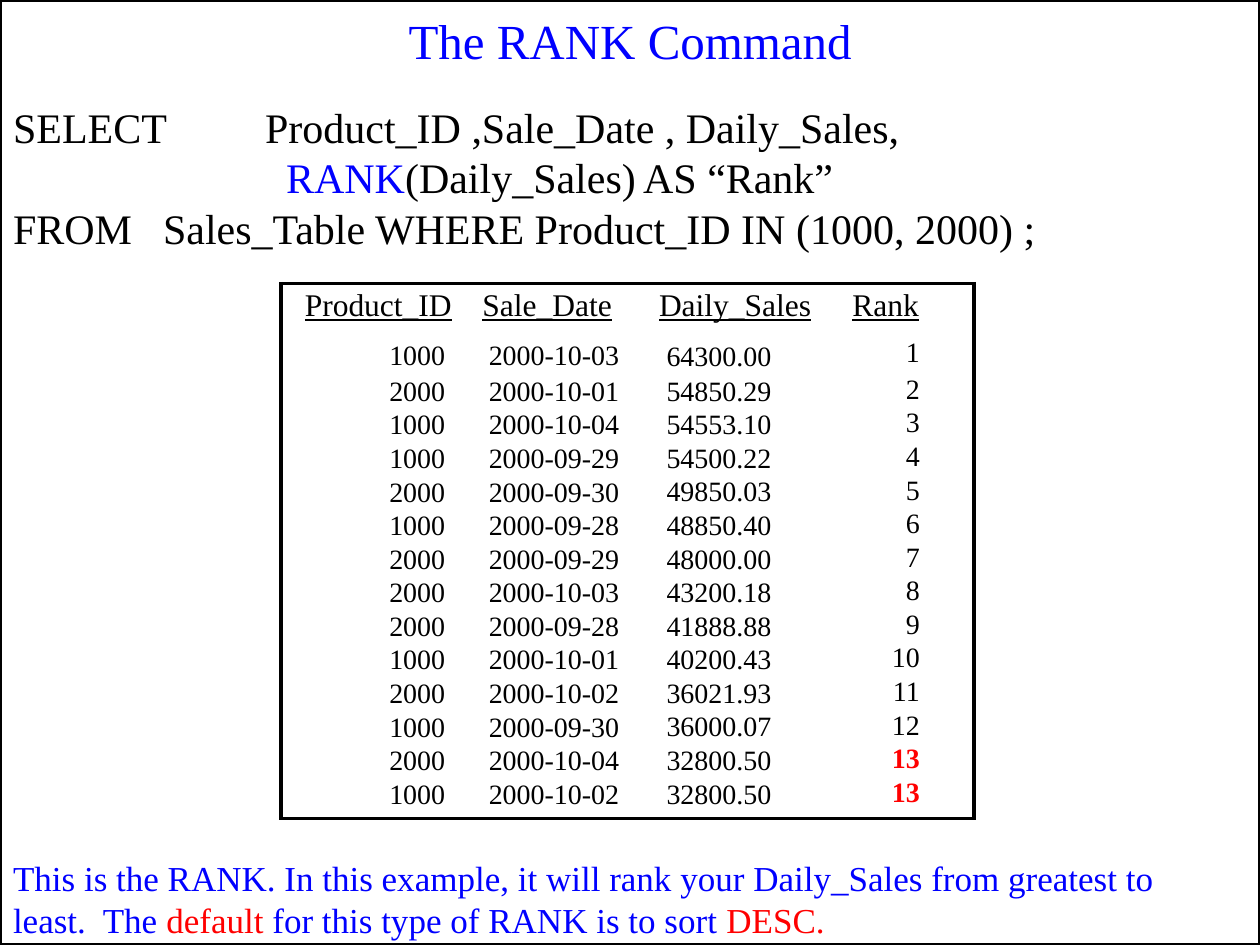
import pptx
import pptx.util
import pptx.dml.color
import pptx.enum.shapes
import pptx.enum.text
import pptx.oxml.ns
import lxml.etree
from dataclasses import dataclass

Pt = pptx.util.Pt
Align = pptx.enum.text.PP_ALIGN


@dataclass
class Theme:
    font: str = "Times New Roman"
    black: str = "000000"
    blue: str = "0000FF"
    red: str = "FF0000"
    title: int = 28
    query: int = 24
    note: int = 20
    header: int = 18
    body: int = 16


theme = Theme()


def style_span(span, size, color, bold=False, underline=False):
    span.font.name = theme.font
    span.font.size = Pt(size)
    span.font.bold = bold
    span.font.underline = underline
    span.font.color.rgb = pptx.dml.color.RGBColor.from_string(color)


def fill_frame(frame, lines, size):
    frame.margin_left = Pt(1)
    frame.margin_right = frame.margin_bottom = 0
    frame.margin_top = Pt(2.5)
    frame.word_wrap = True
    frame.auto_size = pptx.enum.text.MSO_AUTO_SIZE.NONE
    frame.vertical_anchor = pptx.enum.text.MSO_ANCHOR.TOP
    for index, pieces in enumerate(lines):
        para = frame.add_paragraph() if index else frame.paragraphs[0]
        para.alignment = Align.LEFT
        para.line_spacing = Pt(size * 1.2)
        for text, color in pieces:
            span = para.add_run()
            span.text = text
            style_span(span, size, color)


deck = pptx.Presentation()
deck.slide_width, deck.slide_height = Pt(720), Pt(540)
page = deck.slides.add_slide(deck.slide_layouts[5])

border = page.shapes.add_shape(pptx.enum.shapes.MSO_SHAPE.RECTANGLE, 0, 0, Pt(720), Pt(540))
border.shadow.inherit = False
border.fill.background()
border.line.width = Pt(2)
border.line.color.rgb = pptx.dml.color.RGBColor.from_string(theme.black)

title = page.shapes.title
title.left, title.top, title.width, title.height = Pt(232.5), Pt(3.6), Pt(255), Pt(35.3)
fill_frame(title.text_frame, [[("The RANK Command", theme.blue)]], theme.title)

columns_line = [("Product_ID ,Sale_Date , Daily_Sales,", theme.black)]
rank_line = [("RANK", theme.blue), ("(Daily_Sales)\tAS “Rank”", theme.black)]
source_line = [("Sales_Table WHERE Product_ID IN (1000, 2000) ;", theme.black)]
note_line = [
    ("This is the RANK. In this example, it will rank your Daily_Sales from greatest to least.  The ", theme.blue),
    ("default", theme.red),
    (" for this type of RANK is to sort ", theme.blue),
    ("DESC.", theme.red),
]
texts = [
    (6.5, 55.4, 92, 31, theme.query, [[("SELECT", theme.black)]]),
    (150.5, 55.4, 370, 60, theme.query, [columns_line, rank_line]),
    (6.5, 113, 72, 31, theme.query, [[("FROM", theme.black)]]),
    (92.2, 113, 505, 31, theme.query, [source_line]),
    (6.5, 486.7, 684, 50.4, theme.note, [note_line]),
]
for left, top, width, height, size, lines in texts:
    box = page.shapes.add_textbox(Pt(left), Pt(top), Pt(width), Pt(height))
    fill_frame(box.text_frame, lines, size)
    if len(lines) > 1:
        properties = box.text_frame.paragraphs[1]._p.get_or_add_pPr()
        properties.set("marL", "0")
        properties.set("indent", str(Pt(12)))
        tabs = lxml.etree.SubElement(properties, pptx.oxml.ns.qn("a:tabLst"))
        lxml.etree.SubElement(tabs, pptx.oxml.ns.qn("a:tab"), pos=str(Pt(222)), algn="l")

rows = [
    ("Product_ID", "Sale_Date", "Daily_Sales", "Rank"),
    ("1000", "2000-10-03", "64300.00", "1"),
    ("2000", "2000-10-01", "54850.29", "2"),
    ("1000", "2000-10-04", "54553.10", "3"),
    ("1000", "2000-09-29", "54500.22", "4"),
    ("2000", "2000-09-30", "49850.03", "5"),
    ("1000", "2000-09-28", "48850.40", "6"),
    ("2000", "2000-09-29", "48000.00", "7"),
    ("2000", "2000-10-03", "43200.18", "8"),
    ("2000", "2000-09-28", "41888.88", "9"),
    ("1000", "2000-10-01", "40200.43", "10"),
    ("2000", "2000-10-02", "36021.93", "11"),
    ("1000", "2000-09-30", "36000.07", "12"),
    ("2000", "2000-10-04", "32800.50", "13"),
    ("1000", "2000-10-02", "32800.50", "13"),
]
widths = [106.5, 103, 105, 81.5]
heights = [28.8, 23.8] + [19.2] * 12 + [23]
aligns = [Align.RIGHT, Align.LEFT, Align.LEFT, Align.RIGHT]
header_insets = [9, 8.6, 6.5, 31.5]
body_insets = [12.8, 12.2, 10.8, 31]
first_row_tops = [3.6, 3.6, 4.3, 2.2]
spacings = [18.2, 18.2, 18.1, 17.1]
last_row, last_column = len(rows) - 1, len(widths) - 1

table = page.shapes.add_table(
    len(rows), len(widths), Pt(160.6), Pt(162), Pt(sum(widths)), Pt(sum(heights))
).table
table.first_row = table.horz_banding = False
for column, width in zip(table.columns, widths):
    column.width = Pt(width)
for row, height in zip(table.rows, heights):
    row.height = Pt(height)

for r, values in enumerate(rows):
    for c, value in enumerate(values):
        cell = table.cell(r, c)
        inset = header_insets[c] if r == 0 else body_insets[c]
        right = aligns[c] == Align.RIGHT
        cell.margin_left = 0 if right else Pt(inset)
        cell.margin_right = Pt(inset) if right else 0
        cell.margin_top = Pt({0: 2.9, 1: first_row_tops[c]}.get(r, 0))
        cell.margin_bottom = 0
        cell.text_frame.text = value
        para = cell.text_frame.paragraphs[0]
        para.alignment = aligns[c]
        if r > 0 and (r, c) != (1, last_column):
            para.line_spacing = Pt(spacings[c])
        tied = c == last_column and value == "13"
        size = theme.header if r == 0 else theme.body
        style_span(para.runs[0], size, theme.red if tied else theme.black, tied, r == 0)
        properties = cell._tc.get_or_add_tcPr()
        edges = [("L", c == 0), ("R", c == last_column), ("T", r == 0), ("B", r == last_row)]
        for side, outer in edges:
            line = lxml.etree.SubElement(properties, pptx.oxml.ns.qn("a:ln" + side), w=str(Pt(2.25)))
            kind = "a:solidFill" if outer else "a:noFill"
            paint = lxml.etree.SubElement(line, pptx.oxml.ns.qn(kind))
            if outer:
                lxml.etree.SubElement(paint, pptx.oxml.ns.qn("a:srgbClr"), val=theme.black)
        cell.fill.background()

deck.save("out.pptx")
